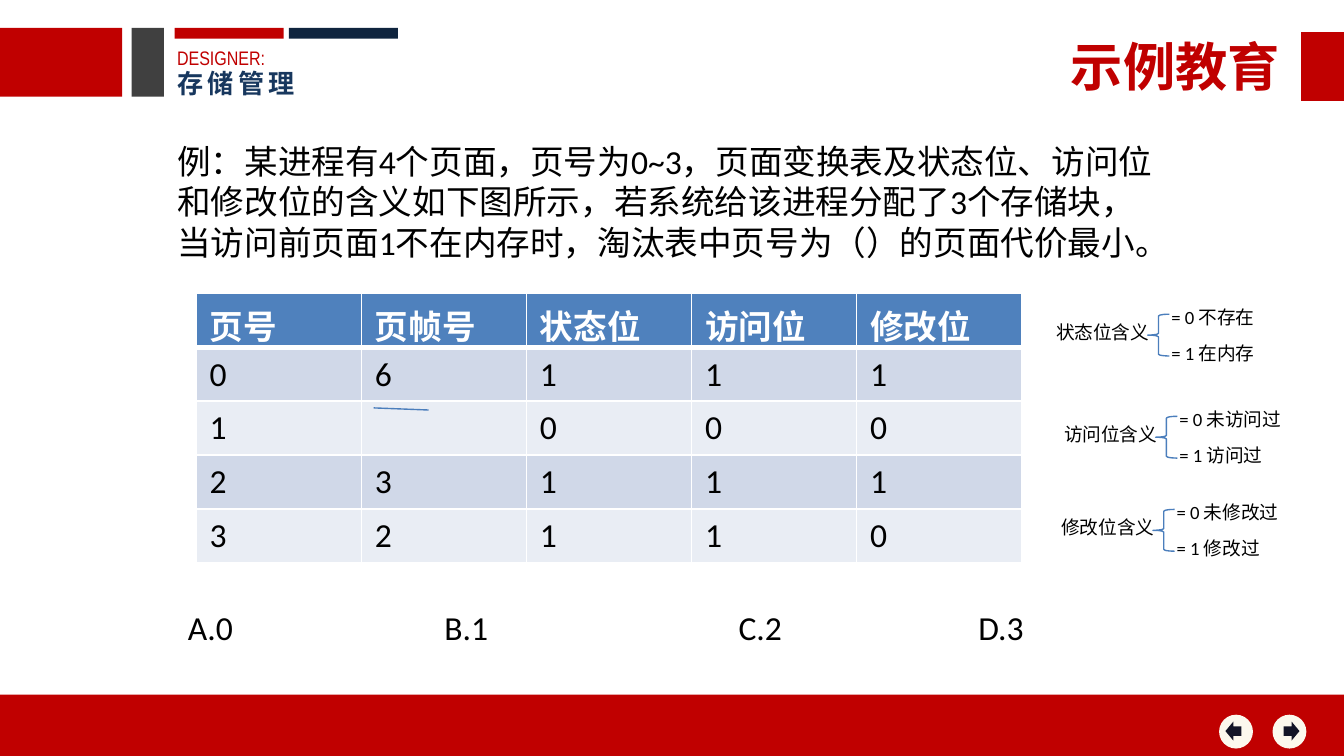
from lxml.etree import SubElement
from pptx import Presentation
from pptx.dml.color import RGBColor
from pptx.enum.shapes import MSO_CONNECTOR, MSO_SHAPE as SHAPE
from pptx.enum.text import MSO_ANCHOR, MSO_AUTO_SIZE, PP_ALIGN
from pptx.oxml.ns import qn
from pptx.util import Cm, Pt

TITLE = "存储管理"
TAGLINE = "DESIGNER:"
BRAND = "示例教育"
QUESTION = ("例：某进程有4个页面，页号为0~3，页面变换表及状态位、访问位和修改位的含义如下图所示，"
            "若系统给该进程分配了3个存储块，当访问前页面1不在内存时，"
            "淘汰表中页号为（）的页面代价最小。")
OPTIONS = ["A.0", "B.1", "C.2", "D.3"]
OPTION_TABS = [4.85, 10.41, 14.94]
PAGE_TABLE = [
    ["页号", "页帧号", "状态位", "访问位", "修改位"],
    ["0", "6", "1", "1", "1"],
    ["1", "", "0", "0", "0"],
    ["2", "3", "1", "1", "1"],
    ["3", "2", "1", "1", "0"],
]
LEGENDS = [
    (19.71, 5.94, "状态位含义", ["= 0 不存在", "= 1 在内存"]),
    (19.86, 7.87, "访问位含义", ["= 0 未访问过", "= 1 访问过"]),
    (19.81, 9.63, "修改位含义", ["= 0 未修改过", "= 1 修改过"]),
]
THEME = {
    "red": "C00000", "gray": "404040", "navy": "0F243E", "title": "17375E",
    "cream": "FCF8ED", "arrow": "131426", "line": "4B7EBC",
    "black": "000000", "white": "FFFFFF",
    "header": "4F81BD", "bands": ["D0D8E8", "E9EDF4"],
    "body": "Calibri", "narrow": "Arial Narrow", "cjk": "Noto Sans CJK SC",
    "brand_pt": 28, "body_pt": 18, "title_pt": 14, "tag_pt": 10.5, "note_pt": 10,
}
BLOCKS = [
    (SHAPE.RECTANGLE, 0, 13.13, 25.4, 1.16, "red"),
    (SHAPE.OVAL, 24.05, 13.51, 0.64, 0.64, "cream"),
    (SHAPE.RIGHT_ARROW, 24.26, 13.64, 0.3, 0.36, "arrow"),
    (SHAPE.OVAL, 23.04, 13.51, 0.64, 0.64, "cream"),
    (SHAPE.LEFT_ARROW, 23.16, 13.64, 0.3, 0.36, "arrow"),
    (SHAPE.RECTANGLE, 0, 0.53, 2.31, 1.3, "red"),
    (SHAPE.RECTANGLE, 2.49, 0.53, 0.61, 1.3, "gray"),
    (SHAPE.RECTANGLE, 24.59, 0.61, 0.81, 1.3, "red"),
    (SHAPE.RECTANGLE, 3.3, 0.53, 2.06, 0.2, "red"),
    (SHAPE.RECTANGLE, 5.46, 0.53, 2.06, 0.2, "navy"),
]


def rgb(name):
    return RGBColor.from_string(THEME.get(name, name))


def add_run(p, text, size, color="black", font="body", bold=False):
    r = p.add_run()
    r.text = text
    r.font.size = Pt(THEME[size])
    r.font.color.rgb = rgb(color)
    r.font.name = THEME[font]
    r.font.bold = bold
    return r


def add_text(s, box, text, size, **style):
    sp = s.shapes.add_textbox(*map(Cm, box))
    tf = sp.text_frame
    tf.word_wrap = True
    tf.auto_size = MSO_AUTO_SIZE.SHAPE_TO_FIT_TEXT
    p = tf.paragraphs[0]
    add_run(p, text, size, **style)
    return p


def add_block(s, kind, x, y, w, h, color):
    sp = s.shapes.add_shape(kind, Cm(x), Cm(y), Cm(w), Cm(h))
    sp.shadow.inherit = False
    sp.fill.solid()
    sp.fill.fore_color.rgb = rgb(color)
    sp.line.fill.background()


def set_title(s):
    sp = s.shapes.title
    sp.left, sp.top, sp.width, sp.height = map(Cm, (3.1, 1.14, 12.7, 0.86))
    tf = sp.text_frame
    tf.vertical_anchor = MSO_ANCHOR.TOP
    tf.auto_size = MSO_AUTO_SIZE.NONE
    p = tf.paragraphs[0]
    p.alignment = PP_ALIGN.LEFT
    r = add_run(p, TITLE, "title_pt", color="title", font="cjk", bold=True)
    rPr = r.font._element
    rPr.set("spc", "220")
    SubElement(rPr, qn("a:ea"), typeface=THEME["cjk"])


def set_borders(cell, widths):
    tcPr = cell._tc.get_or_add_tcPr()
    for i, (side, width) in enumerate(widths.items()):
        ln = SubElement(tcPr, qn(f"a:ln{side}"), w=str(Pt(width)))
        fill = SubElement(ln, qn("a:solidFill"))
        SubElement(fill, qn("a:srgbClr"), val=THEME["white"])
        tcPr.insert(i, ln)


def add_page_table(s):
    rows, cols = len(PAGE_TABLE), len(PAGE_TABLE[0])
    table = s.shapes.add_table(rows, cols, Cm(3.71), Cm(5.55), Cm(15.6), Cm(5.08)).table
    for i, values in enumerate(PAGE_TABLE):
        head = i == 0
        for j, value in enumerate(values):
            cell = table.cell(i, j)
            cell.fill.solid()
            cell.fill.fore_color.rgb = rgb("header" if head else THEME["bands"][(i - 1) % 2])
            set_borders(cell, {"L": 1, "R": 1, "T": 3 if i == 1 else 1, "B": 3 if head else 1})
            p = cell.text_frame.paragraphs[0]
            p.font.size = Pt(THEME["body_pt"])
            if value:
                add_run(p, value, "body_pt", color="white" if head else "black", bold=head)


def add_rule(s):
    line = s.shapes.add_connector(MSO_CONNECTOR.STRAIGHT, Cm(7.06), Cm(7.71), Cm(8.1), Cm(7.75))
    line.line.color.rgb = rgb("line")
    line.line.width = Pt(0.75)
    SubElement(line._element.spPr, qn("a:effectLst"))


def add_legend(s, x, y, label, meanings):
    add_text(s, (x, y, 2.31, 0.69), label, "note_pt")
    sp = s.shapes.add_shape(SHAPE.LEFT_BRACE, Cm(x + 1.98), Cm(y), Cm(0.41), Cm(0.79))
    sp.shadow.inherit = False
    sp.fill.background()
    sp.line.color.rgb = rgb("line")
    sp.line.width = Pt(0.75)
    for i, meaning in enumerate(meanings):
        add_text(s, (x + 2.18, y - 0.28 + 0.67 * i, 2.8, 0.69), meaning, "note_pt")


def add_options(s):
    p = add_text(s, (3.3, 11.35, 19.23, 1.02), "\t".join(OPTIONS), "body_pt")
    tabs = SubElement(p._p.get_or_add_pPr(), qn("a:tabLst"))
    for pos in OPTION_TABS:
        SubElement(tabs, qn("a:tab"), pos=str(Cm(pos)), algn="l")


def main():
    prs = Presentation()
    prs.slide_width, prs.slide_height = Cm(25.4), Cm(14.29)
    s = prs.slides.add_slide(prs.slide_layouts[5])
    for block in BLOCKS:
        add_block(s, *block)
    add_text(s, (3.1, 0.74, 2.6, 0.71), TAGLINE, "tag_pt", color="red", font="narrow")
    add_text(s, (19.99, 0.53, 4.6, 1.45), BRAND, "brand_pt", color="red", font="narrow", bold=True)
    add_text(s, (3.1, 2.54, 18.97, 2.57), QUESTION, "body_pt")
    add_options(s)
    add_page_table(s)
    add_rule(s)
    for legend in LEGENDS:
        add_legend(s, *legend)
    set_title(s)
    prs.save("out.pptx")


if __name__ == "__main__":
    main()
